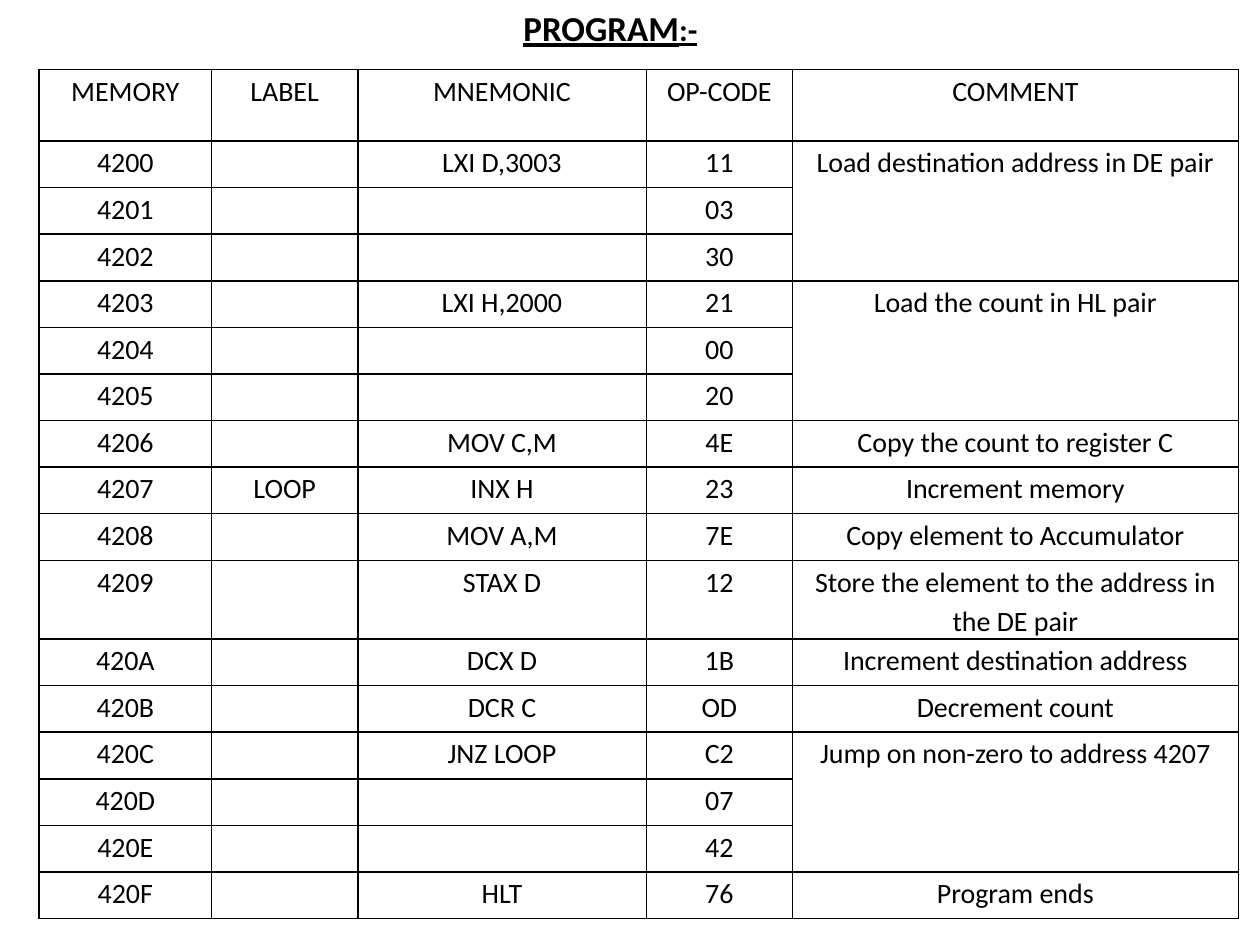
"""Build a slide that lists an assembly program as a table of instructions."""
from dataclasses import dataclass

from lxml.etree import SubElement as Sub
from pptx import Presentation
from pptx.dml.color import RGBColor as Rgb
from pptx.enum.text import MSO_ANCHOR as Anchor, MSO_AUTO_SIZE as Fit, PP_ALIGN as Align
from pptx.oxml.ns import qn
from pptx.util import Inches, Pt

TITLE = [("PROGRAM", 20), (":-", 18)]
HEADS = ["MEMORY", "LABEL", "MNEMONIC", "OP-CODE", "COMMENT"]
START = 0x4200
STEPS = [
    ("", "LXI D,3003", ["11", "03", "30"], "Load destination address in DE pair"),
    ("", "LXI H,2000", ["21", "00", "20"], "Load the count in HL pair"),
    ("", "MOV C,M", ["4E"], "Copy the count to register C"),
    ("LOOP", "INX H", ["23"], "Increment memory"),
    ("", "MOV A,M", ["7E"], "Copy element to Accumulator"),
    ("", "STAX D", ["12"], "Store the element to the address in the DE pair"),
    ("", "DCX D", ["1B"], "Increment destination address"),
    ("", "DCR C", ["OD"], "Decrement count"),
    ("", "JNZ LOOP", ["C2", "07", "42"], "Jump on non-zero to address 4207"),
    ("", "HLT", ["76"], "Program ends"),
]
COLS = [1.37, 1.16, 2.29, 1.16, 3.54]
LOW, TALL = 0.37, 0.57
LONG = 40


@dataclass(frozen=True)
class Theme:
    """Hold the colours, font and sizes."""
    ink: str = "000000"
    font: str = "Calibri"
    body: int = 16
    line: int = 1
    lead: float = 1.15


LOOK = Theme()


def add_run(para, text, size):
    """Add one styled run to a paragraph."""
    run = para.add_run()
    run.text = text
    font = run.font
    font.name, font.size = LOOK.font, Pt(size)
    font.color.rgb = Rgb.from_string(LOOK.ink)
    return font


def add_title(slide):
    """Fill the title placeholder."""
    box = slide.shapes.title
    box.left, box.top, box.width, box.height = map(Inches, (3.75, 0, 2.19, 0.44))
    frame = box.text_frame
    frame.auto_size, frame.vertical_anchor = Fit.NONE, Anchor.TOP
    para = frame.paragraphs[0]
    para.alignment = Align.CENTER
    for text, size in TITLE:
        font = add_run(para, text, size)
        font.bold = font.underline = True


def style_cell(cell):
    """Give a cell its margins, borders and clear fill."""
    cell.margin_left = cell.margin_right = Inches(0.07)
    cell.margin_top = cell.margin_bottom = 0
    props = cell._tc.get_or_add_tcPr()
    for side in ("lnL", "lnR", "lnT", "lnB"):
        line = Sub(props, qn(f"a:{side}"), w=str(Pt(LOOK.line)))
        Sub(Sub(line, qn("a:solidFill")), qn("a:srgbClr"), val=LOOK.ink)
    cell.fill.background()
    para = cell.text_frame.paragraphs[0]
    para.alignment, para.line_spacing = Align.CENTER, LOOK.lead
    para.font.size = Pt(LOOK.body)


def list_rows():
    """Return the row texts and the row spans of the comments."""
    rows, spans = [HEADS], []
    for label, code, ops, note in STEPS:
        top = len(rows)
        for i, op in enumerate(ops):
            addr = f"{START + len(rows) - 1:X}"
            rest = (label, code, op, note) if i == 0 else ("", "", op, "")
            rows.append([addr, *rest])
        if len(ops) > 1:
            spans.append((top, len(rows) - 1))
    return rows, spans


def add_grid(slide):
    """Draw the program table."""
    rows, spans = list_rows()
    highs = [TALL if row is HEADS or len(row[-1]) > LONG else LOW for row in rows]
    size = map(Inches, (0.31, 0.55, sum(COLS), sum(highs)))
    grid = slide.shapes.add_table(len(rows), len(COLS), *size).table
    grid.first_row = grid.horz_banding = False
    for col, wide in zip(grid.columns, COLS):
        col.width = Inches(wide)
    for r, (row, high) in enumerate(zip(rows, highs)):
        grid.rows[r].height = Inches(high)
        for c, text in enumerate(row):
            cell = grid.cell(r, c)
            style_cell(cell)
            if text:
                add_run(cell.text_frame.paragraphs[0], text, LOOK.body)
    last = len(COLS) - 1
    for top, end in spans:
        grid.cell(top, last).merge(grid.cell(end, last))


def main():
    """Make and save the slide."""
    deck = Presentation()
    deck.slide_width, deck.slide_height = Inches(10), Inches(7.5)
    slide = deck.slides.add_slide(deck.slide_layouts[5])
    add_grid(slide)
    add_title(slide)
    deck.save("out.pptx")


if __name__ == "__main__":
    main()
